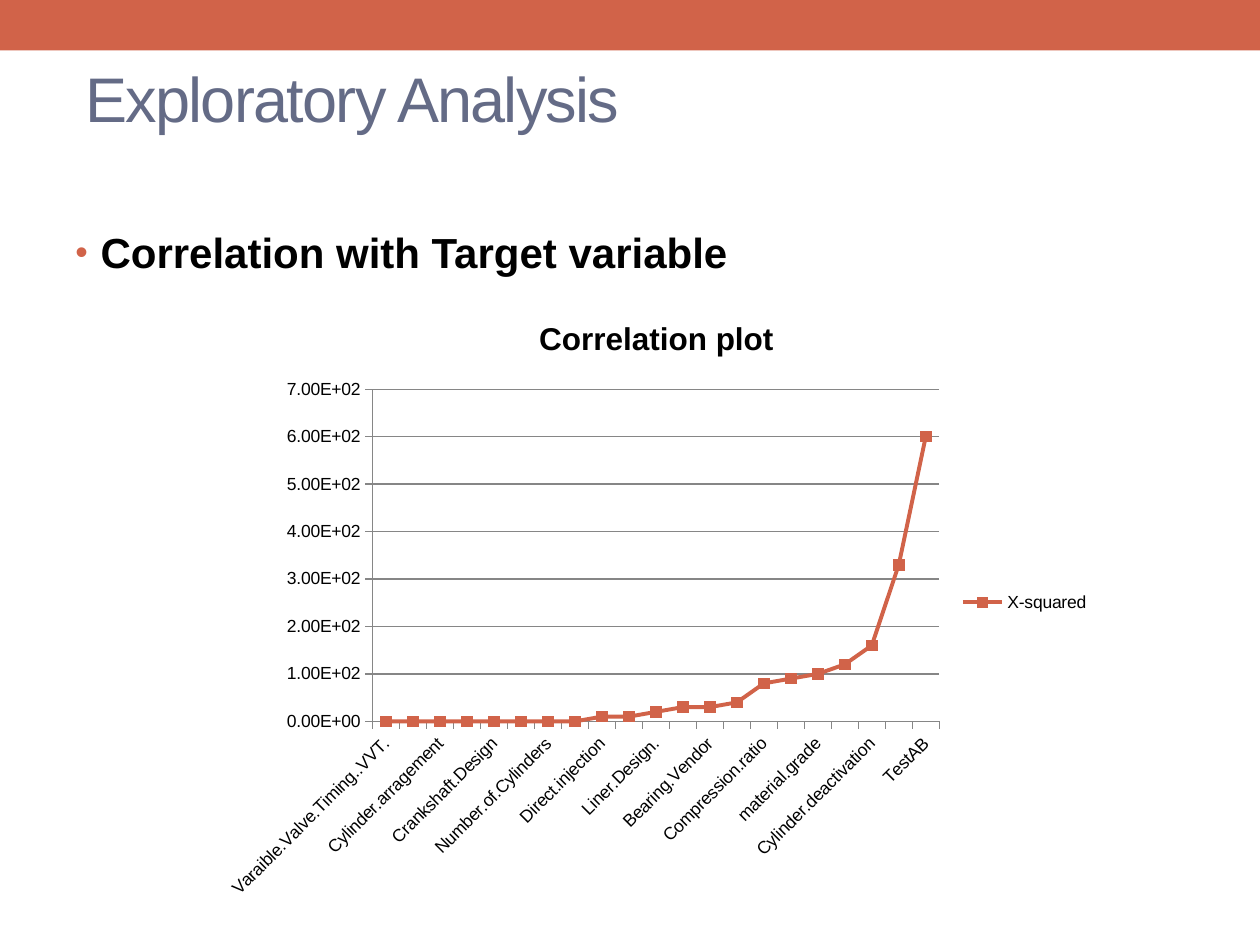
from pptx import Presentation
from pptx.chart.data import CategoryChartData
from pptx.dml.color import RGBColor
from pptx.enum.chart import XL_CHART_TYPE as ChartType, XL_LEGEND_POSITION as LegendSide
from pptx.enum.chart import XL_MARKER_STYLE as Marker, XL_TICK_MARK as Tick
from pptx.enum.shapes import MSO_SHAPE as Shape
from pptx.enum.text import MSO_ANCHOR as Anchor
from pptx.oxml.ns import qn
from pptx.util import Inches, Pt
from lxml.etree import SubElement

WIDTH, HEIGHT = 10, 7.5
FONT = "Arial"
COLORS = {"accent": "D16349", "title": "646B86", "text": "000000", "grid": "868686"}
CORRELATIONS = {
    "Varaible.Valve.Timing..VVT.": 0,
    "displacement": 0,
    "Cylinder.arragement": 0,
    "main.bearing.type": 0,
    "Crankshaft.Design": 0,
    "Lubrication": 0,
    "Number.of.Cylinders": 0,
    "Turbocharger": 0,
    "Direct.injection": 10,
    "Valve.Type": 10,
    "Liner.Design.": 20,
    "piston.type": 30,
    "Bearing.Vendor": 30,
    "cam.arrangement": 40,
    "Compression.ratio": 80,
    "Max..Torque": 90,
    "material.grade": 100,
    "Fuel.Type": 120,
    "Cylinder.deactivation": 160,
    "Peak.Power": 330,
    "TestAB": 600,
}


def color(name):
    """Return the named colour."""
    return RGBColor.from_string(COLORS[name])


def style_font(font, size, name="text", bold=False):
    """Set typeface, size, colour and weight of a font."""
    font.name, font.size, font.bold = FONT, Pt(size), bold
    font.color.rgb = color(name)


def style_line(line, name, width):
    """Set colour and width of a line."""
    line.color.rgb = color(name)
    line.width = Pt(width)


def add_band(page, height):
    """Add the coloured band along the top edge."""
    band = page.shapes.add_shape(Shape.RECTANGLE, 0, 0, Inches(WIDTH), Inches(height))
    band.shadow.inherit = False
    band.fill.solid()
    band.fill.fore_color.rgb = color("accent")
    band.line.fill.background()


def add_text(page, text, area, size, name="text", bold=False, spacing=0, bullet=None):
    """Add a text box, with optional letter spacing and bullet."""
    box = page.shapes.add_textbox(*map(Inches, area))
    frame = box.text_frame
    frame.word_wrap = True
    frame.vertical_anchor = Anchor.TOP
    para = frame.paragraphs[0]
    span = para.add_run()
    span.text = text
    style_font(span.font, size, name, bold)
    if spacing:
        span.font._element.set("spc", str(spacing * 100))
    if bullet:
        add_bullet(para, bullet, indent=0.2)


def add_bullet(para, mark, indent):
    """Give a paragraph a hanging bullet in the accent colour."""
    props = para._p.get_or_add_pPr()
    props.set("marL", str(Inches(indent)))
    props.set("indent", str(-Inches(indent)))
    tint = SubElement(props, qn("a:buClr"))
    SubElement(tint, qn("a:srgbClr"), val=COLORS["accent"])
    SubElement(props, qn("a:buSzPct"), val="85000")
    SubElement(props, qn("a:buFont"), typeface=FONT)
    SubElement(props, qn("a:buChar"), char=mark)


def style_axis(axis, size):
    """Set labels, ticks and line of an axis."""
    axis.major_tick_mark, axis.minor_tick_mark = Tick.OUTSIDE, Tick.NONE
    style_font(axis.tick_labels.font, size)
    style_line(axis.format.line, "grid", 0.75)


def add_line_chart(page, title, name, values, area, size):
    """Add a line chart with markers, title and legend."""
    data = CategoryChartData(number_format="0.00E+00")
    data.categories = list(values)
    data.add_series(name, list(values.values()))
    frame = page.shapes.add_chart(ChartType.LINE_MARKERS_STACKED, *map(Inches, area), data)
    chart = frame.chart
    style_font(chart.font, size)

    chart.has_title = True
    chart.chart_title.include_in_layout = False
    span = chart.chart_title.text_frame.paragraphs[0].add_run()
    span.text = title
    style_font(span.font, 18, bold=True)

    chart.has_legend = True
    chart.legend.position = LegendSide.RIGHT
    chart.legend.include_in_layout = False
    style_font(chart.legend.font, size)

    for axis in (chart.category_axis, chart.value_axis):
        style_axis(axis, size)
    labels = chart.category_axis._element.find(qn("c:txPr"))
    labels.find(qn("a:bodyPr")).set("rot", str(-45 * 60000))
    scale = chart.value_axis
    scale.minimum_scale, scale.maximum_scale, scale.major_unit = 0, 700, 100
    scale.has_major_gridlines = True
    style_line(scale.major_gridlines.format.line, "grid", 0.75)

    chart.plots[0].vary_by_categories = False
    series = chart.plots[0].series[0]
    series.smooth = False
    style_line(series.format.line, "accent", 2.25)
    series.marker.style, series.marker.size = Marker.SQUARE, 6
    series.marker.format.fill.solid()
    series.marker.format.fill.fore_color.rgb = color("accent")
    style_line(series.marker.format.line, "accent", 0.75)


def main():
    """Build the slide and save it."""
    deck = Presentation()
    deck.slide_width, deck.slide_height = Inches(WIDTH), Inches(HEIGHT)
    page = deck.slides.add_slide(deck.slide_layouts[6])
    add_band(page, 0.4)
    add_text(page, "Exploratory Analysis", (0.58, 0.42, 0.9 * WIDTH, 1.25), 36,
             name="title", spacing=-1)
    add_text(page, "Correlation with Target variable", (0.5, 1.75, 0.9 * WIDTH, 5.33), 24,
             bold=True, bullet="•")
    add_line_chart(page, "Correlation plot", "X-squared", CORRELATIONS,
                   (1.67, 2.33, 7.08, 4.9), 10)
    deck.save("out.pptx")


if __name__ == "__main__":
    main()
